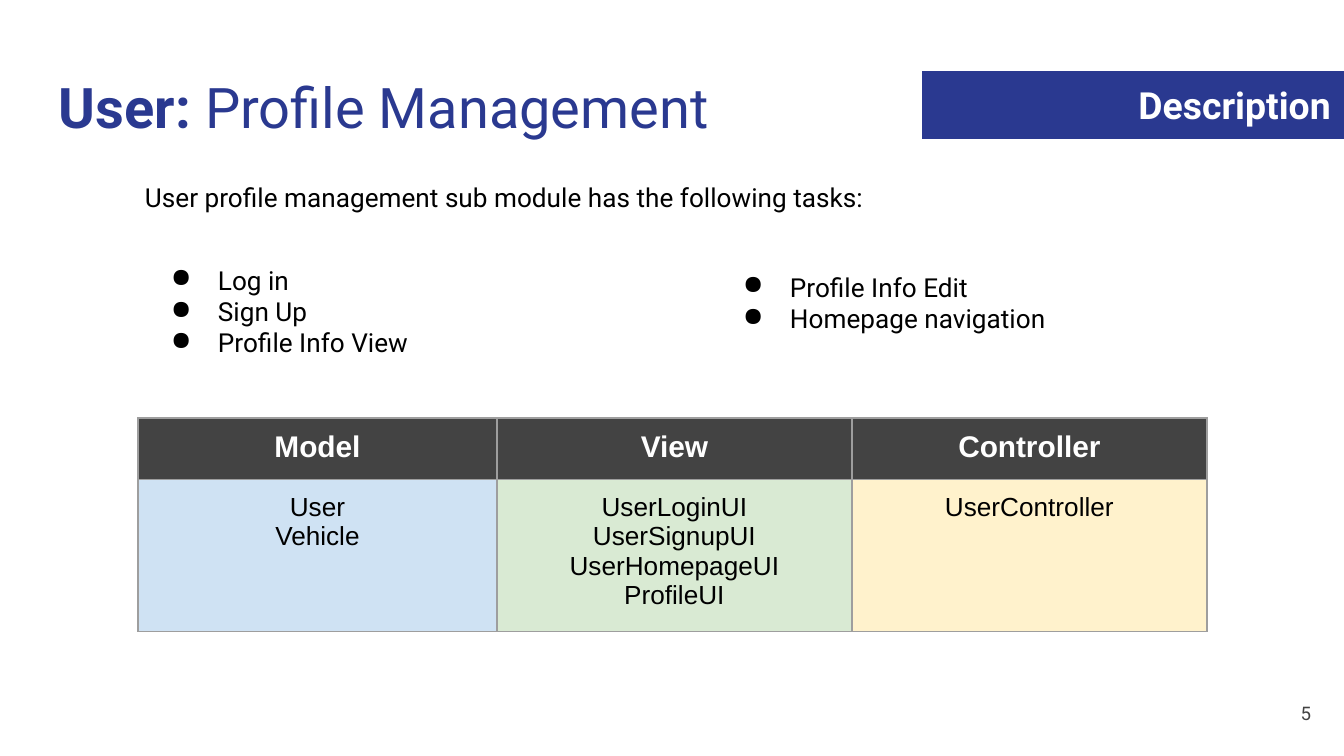
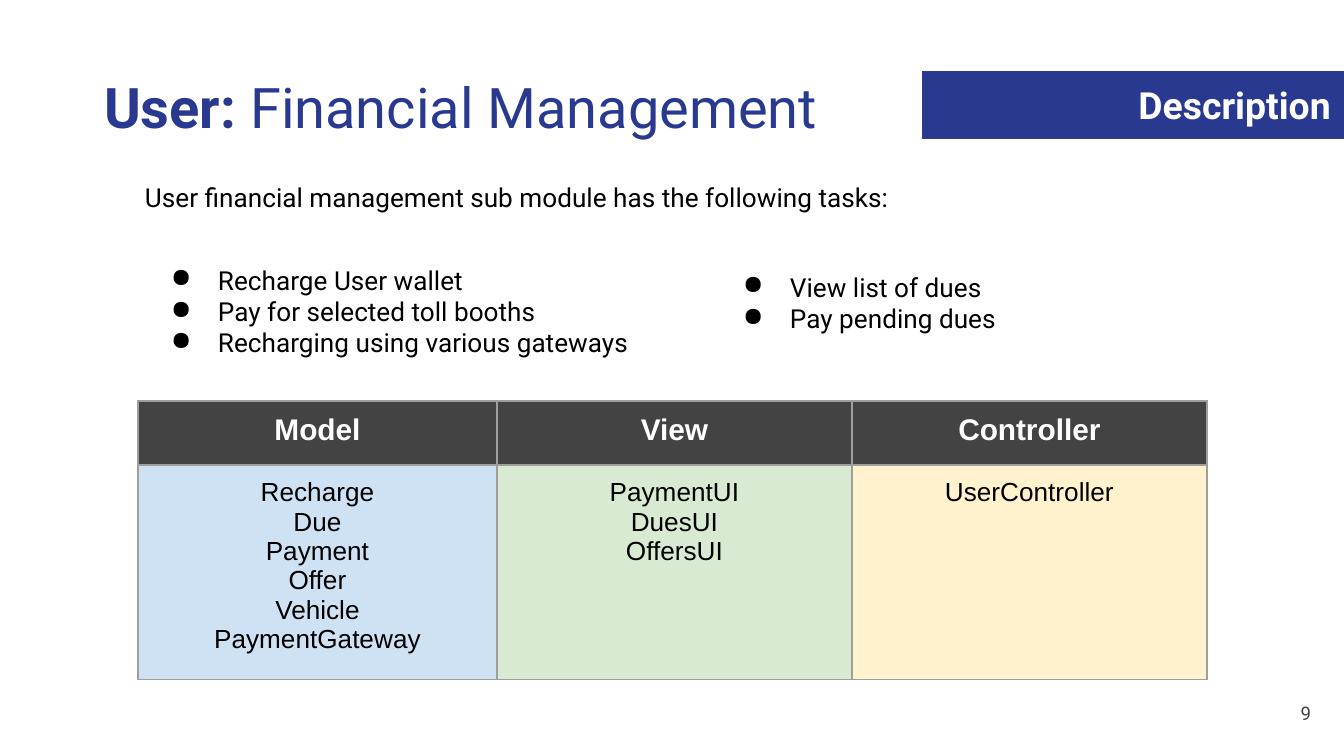
import lxml.etree
import pptx
import pptx.dml.color
import pptx.enum.shapes
import pptx.enum.text
import pptx.oxml.ns
import pptx.util

ALIGN = pptx.enum.text.PP_ALIGN
ANCHOR = pptx.enum.text.MSO_ANCHOR
FIT = pptx.enum.text.MSO_AUTO_SIZE

EMU_PER_PX = 914400 / 134.4
PAGE_WIDTH, PAGE_HEIGHT = 1344, 756
INSET = 13

NAVY, GREY, LINE = "2A3990", "434343", "9E9E9E"
BLACK, WHITE = "000000", "FFFFFF"
COLUMNS = [("Model", 359, "CFE2F3"), ("View", 355, "D9EAD3"), ("Controller", 355, "FFF2CC")]

PAGES = [
    dict(
        number="5", topic="Profile Management", title_left=46,
        intro="User profile management sub module has the following tasks:",
        left_tasks=["Log in", "Sign Up", "Profile Info View"],
        right_tasks=["Profile Info Edit", "Homepage navigation"],
        table_top=418, row_heights=(56, 56),
        classes=[["User", "Vehicle"],
                 ["UserLoginUI", "UserSignupUI", "UserHomepageUI", "ProfileUI"],
                 ["UserController"]],
    ),
    dict(
        number="9", topic="Financial Management", title_left=91,
        intro="User financial management sub module has the following tasks:",
        left_tasks=["Recharge User wallet", "Pay for selected toll booths",
                    "Recharging using various gateways"],
        right_tasks=["View list of dues", "Pay pending dues"],
        table_top=401, row_heights=(64, 125),
        classes=[["Recharge", "Due", "Payment", "Offer", "Vehicle", "PaymentGateway"],
                 ["PaymentUI", "DuesUI", "OffersUI"],
                 ["UserController"]],
    ),
]


def px(length):
    return pptx.util.Emu(round(length * EMU_PER_PX))


def color(hex_text):
    return pptx.dml.color.RGBColor.from_string(hex_text)


def add_xml(parent, tag, **attributes):
    return lxml.etree.SubElement(parent, pptx.oxml.ns.qn(tag), attributes)


def write(para, text, size=14, font="Roboto", ink=BLACK, bold=False, align=ALIGN.LEFT):
    para.alignment = align
    span = para.add_run()
    span.text = text
    span.font.size = pptx.util.Pt(size)
    span.font.name = font
    span.font.bold = bold
    span.font.color.rgb = color(ink)


def write_lines(frame, lines, **style):
    for index, line in enumerate(lines):
        para = frame.add_paragraph() if index else frame.paragraphs[0]
        write(para, line, **style)


def set_insets(holder):
    holder.margin_left = holder.margin_right = px(INSET)
    holder.margin_top = holder.margin_bottom = px(INSET)


def prepare_frame(shape, anchor=ANCHOR.TOP, fit=FIT.NONE):
    frame = shape.text_frame
    frame.word_wrap = True
    frame.auto_size = fit
    frame.vertical_anchor = anchor
    set_insets(frame)
    return frame


def add_text(page, box, lines, anchor=ANCHOR.TOP, fit=FIT.SHAPE_TO_FIT_TEXT, **style):
    shape = page.shapes.add_textbox(*map(px, box))
    frame = prepare_frame(shape, anchor, fit)
    write_lines(frame, lines, **style)
    return frame


def place_title(page, box, topic):
    title = page.shapes.title
    title.left, title.top, title.width, title.height = map(px, box)
    para = prepare_frame(title).paragraphs[0]
    write(para, "User:", size=30, ink=NAVY, bold=True)
    write(para, " " + topic, size=30, ink=NAVY)


def add_band(page, box, label):
    band = page.shapes.add_shape(pptx.enum.shapes.MSO_SHAPE.RECTANGLE, *map(px, box))
    band.shadow.inherit = False
    band.fill.solid()
    band.fill.fore_color.rgb = color(NAVY)
    band.line.fill.background()
    frame = prepare_frame(band, ANCHOR.MIDDLE)
    write_lines(frame, [label], size=20, ink=WHITE, bold=True, align=ALIGN.RIGHT)


def add_bullets(page, box, tasks):
    for para in add_text(page, box, tasks).paragraphs:
        properties = para._p.get_or_add_pPr()
        properties.set("marL", str(px(67)))
        properties.set("indent", str(px(-47)))
        add_xml(add_xml(properties, "a:buClr"), "a:srgbClr", val=BLACK)
        add_xml(properties, "a:buChar", char="●")


def style_cell(cell, fill):
    set_insets(cell)
    properties = cell._tc.get_or_add_tcPr()
    # Borders come before the fill
    for side in ("a:lnL", "a:lnR", "a:lnT", "a:lnB"):
        border = add_xml(properties, side, w=str(pptx.util.Pt(0.75)))
        add_xml(add_xml(border, "a:solidFill"), "a:srgbClr", val=LINE)
    cell.fill.solid()
    cell.fill.fore_color.rgb = color(fill)


def add_class_table(page, left, top, row_heights, classes):
    width = sum(column_width for _, column_width, _ in COLUMNS)
    box = (left, top, width, sum(row_heights))
    table = page.shapes.add_table(2, len(COLUMNS), *map(px, box)).table
    table.first_row = table.horz_banding = False
    for row, height in zip(table.rows, row_heights):
        row.height = px(height)
    for index, (heading, column_width, tint) in enumerate(COLUMNS):
        table.columns[index].width = px(column_width)
        head, body = table.cell(0, index), table.cell(1, index)
        style_cell(head, GREY)
        style_cell(body, tint)
        write_lines(head.text_frame, [heading], size=16, font="Arial",
                    ink=WHITE, bold=True, align=ALIGN.CENTER)
        write_lines(body.text_frame, classes[index], font="Arial", align=ALIGN.CENTER)


def build_page(deck, content):
    page = deck.slides.add_slide(deck.slide_layouts[5])
    # Heading and section band
    place_title(page, (content["title_left"], 60, 1253, 89), content["topic"])
    add_band(page, (922, 71, 422, 68), "Description")
    # Tasks in two columns
    add_text(page, (132, 168, 1079, 59), [content["intro"]])
    add_bullets(page, (138, 251, 534, 122), content["left_tasks"])
    add_bullets(page, (710, 258, 534, 90), content["right_tasks"])
    # Classes by role
    add_class_table(page, 138, content["table_top"], content["row_heights"], content["classes"])
    # Page number
    add_text(page, (1243, 684, 81, 58), [content["number"]], anchor=ANCHOR.MIDDLE,
             fit=FIT.NONE, size=10, ink=GREY, align=ALIGN.RIGHT)


def main():
    deck = pptx.Presentation()
    deck.slide_width, deck.slide_height = px(PAGE_WIDTH), px(PAGE_HEIGHT)
    for content in PAGES:
        build_page(deck, content)
    deck.save("out.pptx")


if __name__ == "__main__":
    main()
